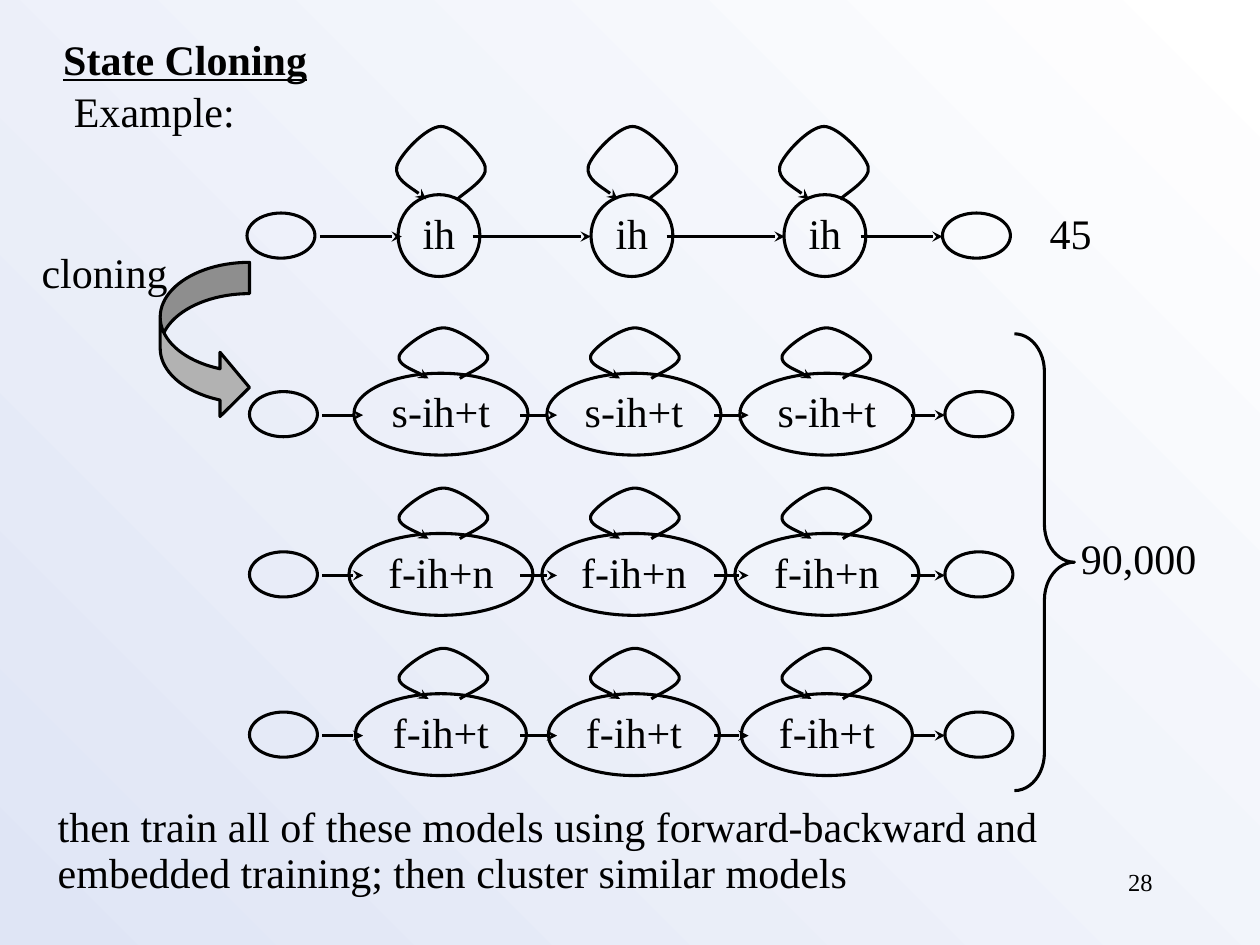
from dataclasses import dataclass

from lxml import etree
from pptx import Presentation
from pptx.dml.color import RGBColor
from pptx.enum import shapes, text
from pptx.oxml.ns import qn
from pptx.util import Cm, Pt


@dataclass(frozen=True)
class Theme:
    font: str = "Times New Roman"
    ink: RGBColor = RGBColor(0, 0, 0)
    arrow_fill: RGBColor = RGBColor(0xB2, 0xB2, 0xB2)
    paper: RGBColor = RGBColor(0xFF, 0xFF, 0xFF)
    paper_shade: RGBColor = RGBColor(0xDF, 0xE5, 0xF5)
    text_size: Pt = Pt(24)
    number_size: Pt = Pt(14)
    line_width: Pt = Pt(1.75)
    line_spacing: float = 0.9


@dataclass(frozen=True)
class ModelStyle:
    """Horizontal layout of a row of states, in centimetres."""
    first_centre: float
    end_lefts: tuple
    loop_left: float
    loop_rise: float
    loop_height: float
    links: tuple


THEME = Theme()
STATE_PITCH, LOOP_PITCH = 3.89, 3.86
STATE_HEIGHT = 1.65
END_WIDTH, END_HEIGHT = 1.37, 0.91
LINK_DROP = 0.02

# Start point, then three points per Bézier: x in cm, y as a share of the height.
LOOP = [(1.27, 1), (1.35, 0.93), (1.91, 0.72), (1.83, 0.55),
        (1.78, 0.4), (1.24, 0), (0.94, 0),
        (0.64, 0), (0.1, 0.4), (0.05, 0.55),
        (0, 0.72), (0.51, 0.91), (0.64, 1)]

SINGLE = ModelStyle(8.85, (4.98, 19), 7.95, 2.2, 1.47,
                    ((6.45, 8.1), (9.53, 11.91), (13.44, 15.82), (17.35, 19)))
CLONED = ModelStyle(8.89, (5.03, 19.05), 8, 1.74, 1.02,
                    ((6.5, 7.32), (10.49, 11.23), (14.4, 15.09), (18.36, 19.05)))


def place(shape, left, top, width, height):
    shape.left, shape.top = Cm(left), Cm(top)
    shape.width, shape.height = Cm(width), Cm(height)


def write(shape, lines, size=THEME.text_size, align=text.PP_ALIGN.LEFT,
          anchor=text.MSO_ANCHOR.TOP, spacing=THEME.line_spacing, wrap=True):
    frame = shape.text_frame
    frame.text = "\n".join(lines)
    frame.word_wrap = wrap
    frame.auto_size = text.MSO_AUTO_SIZE.NONE
    frame.vertical_anchor = anchor
    for para in frame.paragraphs:
        para.alignment = align
        para.line_spacing = spacing
        para.space_before = Pt(0)
        para.font.name = THEME.font
        para.font.size = size
        para.font.color.rgb = THEME.ink


def remove_bullets(shape):
    for para in shape.text_frame.paragraphs:
        properties = para._p.get_or_add_pPr()
        properties.set("marL", "0")
        properties.set("indent", "0")
        bullet = etree.Element(qn("a:buNone"))
        spacings = [child for child in properties
                    if child.tag in (qn("a:lnSpc"), qn("a:spcBef"), qn("a:spcAft"))]
        properties.insert(len(spacings), bullet)


def add_label(page, words, left, top, width):
    box = page.shapes.add_textbox(Cm(left), Cm(top), Cm(width), Cm(1.17))
    write(box, [words])


def draw_line(shape):
    shape.line.color.rgb = THEME.ink
    shape.line.width = THEME.line_width


def add_arrowhead(shape):
    line = shape.element.spPr.find(qn("a:ln"))
    etree.SubElement(line, qn("a:tailEnd"), type="stealth")


def add_outline(page, kind, left, top, width, height):
    shape = page.shapes.add_shape(kind, Cm(left), Cm(top), Cm(width), Cm(height))
    shape.shadow.inherit = False
    shape.fill.background()
    draw_line(shape)
    return shape


def add_ellipse(page, centre_x, centre_y, width, height):
    return add_outline(page, shapes.MSO_SHAPE.OVAL, centre_x - width / 2,
                       centre_y - height / 2, width, height)


def add_link(page, start, end, y):
    link = page.shapes.add_connector(shapes.MSO_CONNECTOR.STRAIGHT,
                                     Cm(start), Cm(y), Cm(end), Cm(y))
    draw_line(link)
    add_arrowhead(link)
    etree.SubElement(link.element.spPr, qn("a:effectLst"))


def add_loop(page, left, top, height):
    points = [(Cm(left + x), Cm(top + y * height)) for x, y in LOOP]
    builder = page.shapes.build_freeform(*points[0])
    builder.add_line_segments(points[1:], close=False)
    loop = builder.convert_to_shape()
    bend_segments(loop)
    loop.shadow.inherit = False
    loop.fill.background()
    draw_line(loop)
    add_arrowhead(loop)


def bend_segments(freeform):
    """Turn each three straight segments into one cubic Bézier."""
    outline = next(freeform.element.iter(qn("a:path")))
    segments = outline.findall(qn("a:lnTo"))
    for first in range(0, len(segments), 3):
        curve = etree.SubElement(outline, qn("a:cubicBezTo"))
        for segment in segments[first:first + 3]:
            curve.append(segment[0])
            outline.remove(segment)


def add_model(page, label, centre_y, state_width, style):
    for column in range(3):
        state = add_ellipse(page, style.first_centre + column * STATE_PITCH,
                            centre_y, state_width, STATE_HEIGHT)
        write(state, [label], align=text.PP_ALIGN.CENTER,
              anchor=text.MSO_ANCHOR.MIDDLE, wrap=False)
        add_loop(page, style.loop_left + column * LOOP_PITCH,
                 centre_y - style.loop_rise, style.loop_height)
    for left in style.end_lefts:
        add_ellipse(page, left + END_WIDTH / 2, centre_y, END_WIDTH, END_HEIGHT)
    for start, end in style.links:
        add_link(page, start, end, centre_y + LINK_DROP)


def add_cloning_arrow(page):
    arrow = add_outline(page, shapes.MSO_SHAPE.CURVED_RIGHT_ARROW,
                        3.23, 5.29, 1.8, 3.17)
    arrow.adjustments[0], arrow.adjustments[1], arrow.adjustments[2] = 0.35, 0.72, 0.33
    arrow.fill.solid()
    arrow.fill.fore_color.rgb = THEME.arrow_fill


def add_brace(page):
    brace = add_outline(page, shapes.MSO_SHAPE.RIGHT_BRACE, 20.45, 6.73, 1.21, 9.21)
    brace.adjustments[0] = 0.63


def paint_background(page):
    fill = page.background.fill
    fill.gradient()
    fill.gradient_angle = 225
    for stop, color in zip(fill.gradient_stops, (THEME.paper, THEME.paper_shade)):
        stop.color.rgb = color


def main():
    deck = Presentation()
    deck.slide_width, deck.slide_height = Cm(25.4), Cm(19.05)
    page = deck.slides.add_slide(deck.slide_layouts[1])
    paint_background(page)

    title, closing = page.placeholders
    place(title, 1.02, 0.55, 5.8, 1.27)
    write(title, ["State Cloning"], spacing=1)
    title_font = title.text_frame.paragraphs[0].font
    title_font.bold = title_font.underline = True
    place(closing, 0.91, 16.13, 20.6, 2.08)
    write(closing, ["then train all of these models using forward-backward and",
                    "embedded training; then cluster similar models"])
    remove_bullets(closing)

    add_model(page, "ih", 4.75, 1.65, SINGLE)
    clones = (("s-ih+t", 3.51), ("f-ih+n", 3.71), ("f-ih+t", 3.45))
    for row, (label, width) in enumerate(clones):
        add_model(page, label, 8.35 + row * 3.23, width, CLONED)
    add_cloning_arrow(page)
    add_brace(page)

    add_label(page, "Example:", 1.24, 1.71, 4.1)
    add_label(page, "45", 20.91, 4.17, 1.7)
    add_label(page, "90,000", 21.54, 10.72, 3.2)
    add_label(page, "cloning", 0.59, 4.95, 3.4)
    number = page.shapes.add_textbox(Cm(18.21), Cm(17.35), Cm(5.28), Cm(1.27))
    write(number, ["28"], THEME.number_size, text.PP_ALIGN.RIGHT, spacing=1)

    deck.save("out.pptx")


if __name__ == "__main__":
    main()
